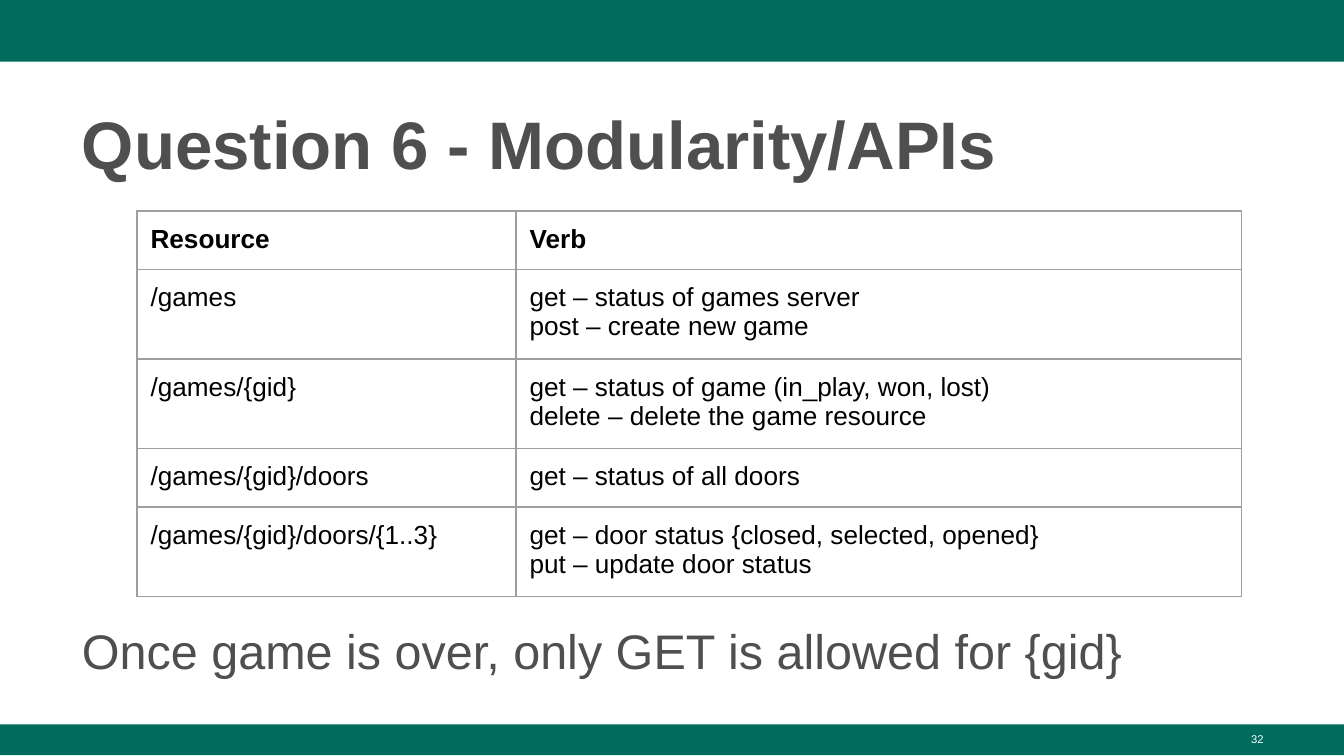
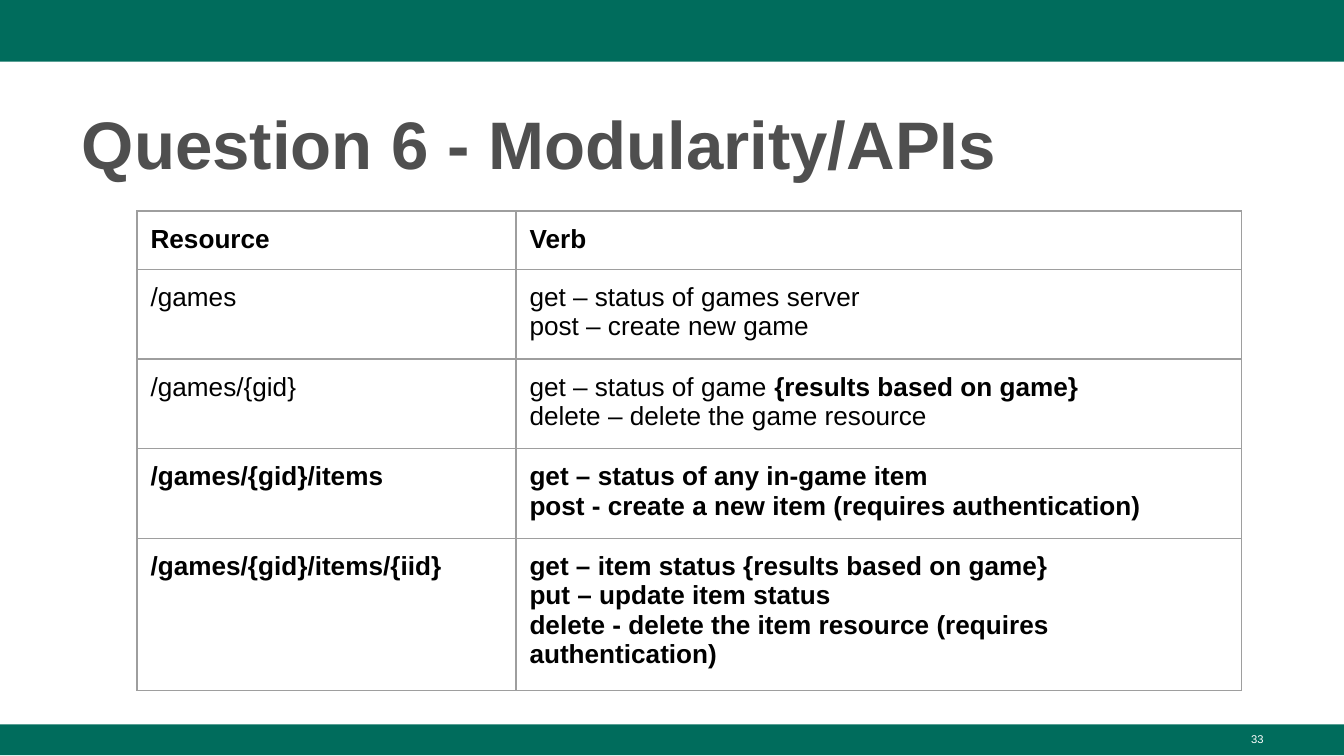
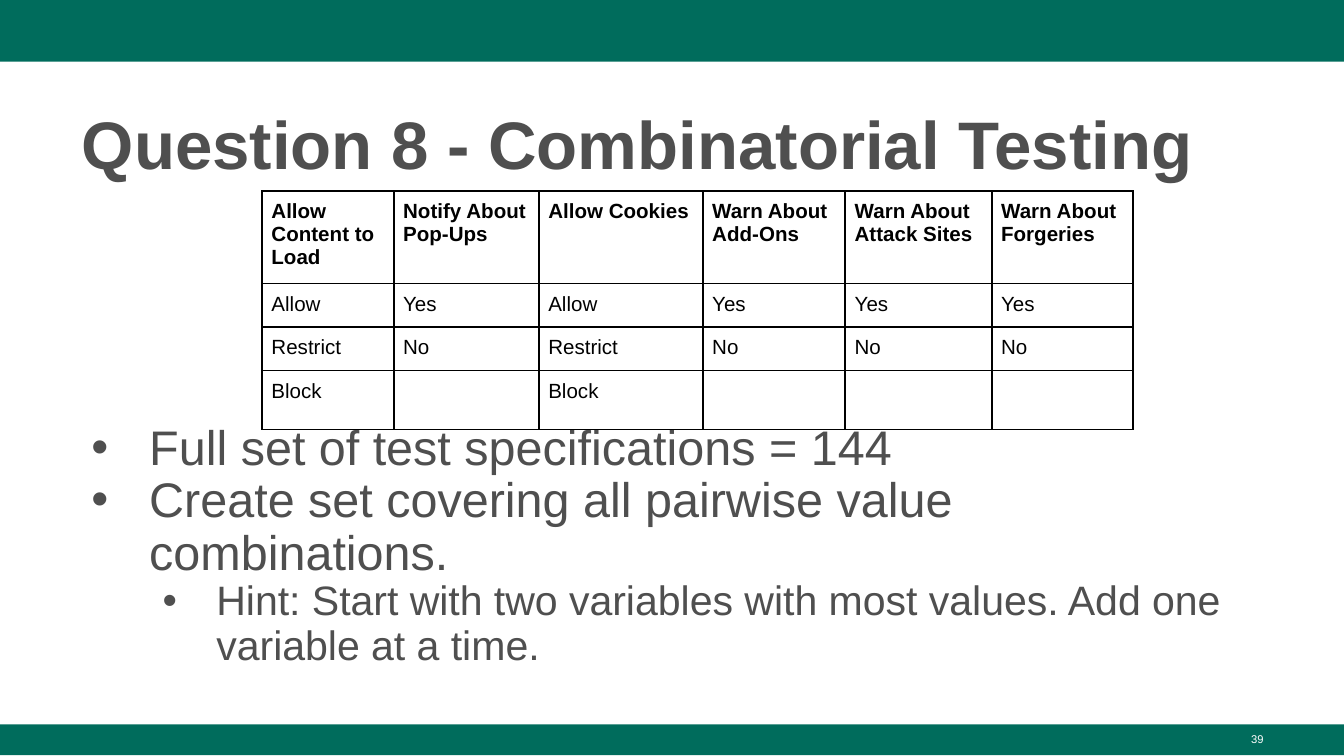
from lxml import etree
from pptx import Presentation
from pptx.dml.color import RGBColor
from pptx.enum.shapes import MSO_SHAPE
from pptx.enum.text import MSO_ANCHOR, MSO_AUTO_SIZE, PP_ALIGN
from pptx.oxml.ns import qn
from pptx.util import Inches, Pt

RECT = MSO_SHAPE.RECTANGLE
LEFT, RIGHT = PP_ALIGN.LEFT, PP_ALIGN.RIGHT
TOP, MIDDLE, BOTTOM = MSO_ANCHOR.TOP, MSO_ANCHOR.MIDDLE, MSO_ANCHOR.BOTTOM
NO_FIT = MSO_AUTO_SIZE.NONE

COLORS = {
    "band": "006C5C",
    "heading": "4F4F4F",
    "cell": "000000",
    "grid": "9E9E9E",
    "white": "FFFFFF",
}
FONT = "Arial"
TITLE_ONLY, TITLE_AND_BODY = 5, 1
BODY_SIZES = (26, 22)
BULLET_INDENTS = ((0.5, -0.43), (1, -0.4))
TABLE_FRAME = 3.28


def rgb(name):
    return RGBColor.from_string(COLORS[name])


class Deck:
    """Holds the shared style and the slide being built."""

    def __init__(self):
        self.prs = Presentation()
        self.prs.slide_width = Inches(10)
        self.prs.slide_height = Inches(10) * 9 // 16
        self.s = None

    def new_slide(self, title, number, layout=TITLE_AND_BODY):
        self.s = self.prs.slides.add_slide(self.prs.slide_layouts[layout])
        self.band(0, 0.46)
        self.band(5.39, 0.23)
        self.page_number(number)
        self.title(title)

    def band(self, top, height):
        sp = self.s.shapes.add_shape(RECT, 0, Inches(top), Inches(10), Inches(height))
        sp.shadow.inherit = False
        sp.fill.solid()
        sp.fill.fore_color.rgb = rgb("band")
        sp.line.fill.background()

    def page_number(self, number):
        sp = self.s.shapes.add_textbox(Inches(7.17), Inches(5.4), Inches(2.33), Inches(0.23))
        sp.text_frame.word_wrap = True
        p = sp.text_frame.paragraphs[0]
        p.alignment = RIGHT
        self.run(p, str(number), 6, "white")

    def title(self, text):
        tf = self.frame(self.s.shapes.title, 0.67, 0.73, MIDDLE)
        p = tf.paragraphs[0]
        p.alignment = LEFT
        p.line_spacing = 1.08
        self.run(p, text, 36, "heading", True)

    def body(self, top, height, items, anchor=TOP, bulleted=True):
        """Fill the body placeholder with (level, text) items."""
        tf = self.frame(self.s.placeholders[1], top, height, anchor)
        for i, (level, text) in enumerate(items):
            p = tf.paragraphs[0] if i == 0 else tf.add_paragraph()
            p.level = level
            p.alignment = LEFT
            p.line_spacing = 0.9
            p.space_before = Pt(0)
            self.bullet(p, BULLET_INDENTS[level] if bulleted else None)
            self.run(p, text, BODY_SIZES[level], "heading")
        return tf

    def table(self, left, top, widths, row_height, rows, size, margin, border, weight):
        """Draw a grid; the first row is bold, as is text between ** marks."""
        frame = self.s.shapes.add_table(
            len(rows), len(widths), Inches(left), Inches(top),
            Inches(TABLE_FRAME), Inches(TABLE_FRAME))
        tbl = frame.table
        tbl.first_row = tbl.horz_banding = False
        for column, width in zip(tbl.columns, widths):
            column.width = Inches(width)
        for r, texts in enumerate(rows):
            tbl.rows[r].height = Inches(row_height)
            for c, text in enumerate(texts):
                cell = tbl.cell(r, c)
                cell.margin_left = cell.margin_right = Inches(margin)
                cell.margin_top = cell.margin_bottom = Inches(margin)
                cell.fill.background()
                self.cell_borders(cell, border, weight)
                self.cell_text(cell.text_frame, text, size, r == 0)
        # Rows grow with their text, so the frame keeps its own size.
        frame.width = frame.height = Inches(TABLE_FRAME)

    def cell_text(self, tf, text, size, header):
        for i, line in enumerate(text.split("\n")):
            p = tf.paragraphs[0] if i == 0 else tf.add_paragraph()
            for j, part in enumerate(line.split("**")):
                if part:
                    self.run(p, part, size, "cell", header or j % 2 == 1)

    @staticmethod
    def cell_borders(cell, color, weight):
        tc_pr = cell._tc.get_or_add_tcPr()
        for i, side in enumerate(("lnL", "lnR", "lnT", "lnB")):
            ln = etree.Element(qn(f"a:{side}"), w=str(Pt(weight)))
            fill = etree.SubElement(ln, qn("a:solidFill"))
            etree.SubElement(fill, qn("a:srgbClr"), val=COLORS[color])
            tc_pr.insert(i, ln)

    @staticmethod
    def bullet(p, indents):
        p_pr = p._p.get_or_add_pPr()
        margin, indent = indents or (0, 0)
        p_pr.set("marL", str(Inches(margin)))
        p_pr.set("indent", str(Inches(indent)))
        if indents is None:
            etree.SubElement(p_pr, qn("a:buNone"))
            return
        color = etree.SubElement(p_pr, qn("a:buClr"))
        etree.SubElement(color, qn("a:srgbClr"), val=COLORS["heading"])
        etree.SubElement(p_pr, qn("a:buFont"), typeface=FONT)
        etree.SubElement(p_pr, qn("a:buChar"), char="•")

    @staticmethod
    def frame(sp, top, height, anchor):
        """Move a placeholder within the shared margins and return its text frame."""
        sp.left, sp.top = Inches(0.51), Inches(top)
        sp.width, sp.height = Inches(8.99), Inches(height)
        tf = sp.text_frame
        tf.word_wrap = True
        tf.auto_size = NO_FIT
        tf.vertical_anchor = anchor
        return tf

    @staticmethod
    def run(p, text, size, color, bold=False):
        r = p.add_run()
        r.text = text
        r.font.name = FONT
        r.font.size = Pt(size)
        r.font.bold = bold
        r.font.color.rgb = rgb(color)


def api_table(deck, rows):
    header_and_games = [
        ("Resource", "Verb"),
        ("/games", "get – status of games server\npost – create new game"),
    ]
    deck.table(1.02, 1.57, (2.82, 5.4), 0.42, header_and_games + rows,
               14, 0.1, "grid", 0.75)


def game_api_slide(deck):
    deck.new_slide("Question 6 - Modularity/APIs", 32)
    tf = deck.body(1.4, 3.81, [(0, "Once game is over, only GET is allowed for {gid}")],
                   BOTTOM, bulleted=False)
    tf.margin_bottom = Inches(0.15)
    api_table(deck, [
        ("/games/{gid}",
         "get – status of game (in_play, won, lost)\ndelete – delete the game resource"),
        ("/games/{gid}/doors", "get – status of all doors"),
        ("/games/{gid}/doors/{1..3}",
         "get – door status {closed, selected, opened}\nput – update door status"),
    ])


def generic_api_slide(deck):
    deck.new_slide("Question 6 - Modularity/APIs", 33, TITLE_ONLY)
    api_table(deck, [
        ("/games/{gid}",
         "get – status of game **{results based on game}**\n"
         "delete – delete the game resource"),
        ("**/games/{gid}/items**",
         "**get – status of any in-game item**\n"
         "**post - create a new item (requires authentication)**"),
        ("**/games/{gid}/items/{iid}**",
         "**get – item status {results based on game}**\n"
         "**put – update item status**\n"
         "**delete - delete the item resource (requires authentication)**"),
    ])


def combinatorial_slide(deck):
    deck.new_slide("Question 8 - Combinatorial Testing", 39)
    deck.body(3.1, 2.1, [
        (0, "Full set of test specifications = 144"),
        (0, "Create set covering all pairwise value combinations."),
        (1, "Hint: Start with two variables with most values. Add one variable at a time."),
    ])
    settings = [
        ("Allow Content to Load", "Notify About Pop-Ups", "Allow Cookies",
         "Warn About Add-Ons", "Warn About Attack Sites", "Warn About Forgeries"),
        ("Allow", "Yes", "Allow", "Yes", "Yes", "Yes"),
        ("Restrict", "No", "Restrict", "No", "No", "No"),
        ("Block", "", "Block", "", "", ""),
    ]
    deck.table(1.95, 1.42, (0.98, 1.08, 1.22, 1.06, 1.09, 1.05), 0.01, settings,
               11, 0.07, "cell", 1)


def main():
    deck = Deck()
    game_api_slide(deck)
    generic_api_slide(deck)
    combinatorial_slide(deck)
    deck.prs.save("out.pptx")


if __name__ == "__main__":
    main()
